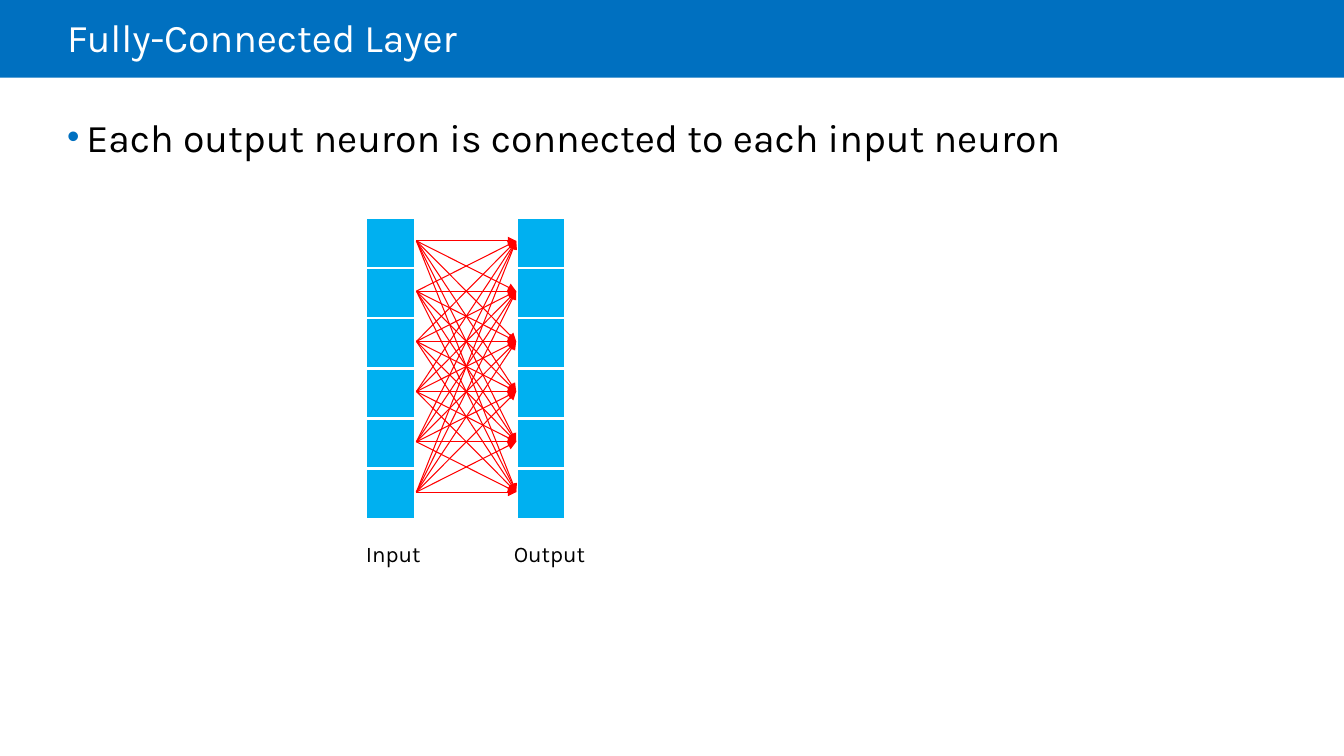
import pptx
import pptx.util
import pptx.dml.color
import pptx.enum.shapes
import pptx.enum.text
import pptx.oxml
import pptx.oxml.ns

Inches = pptx.util.Inches
Pt = pptx.util.Pt
Anchor = pptx.enum.text.MSO_ANCHOR
Align = pptx.enum.text.PP_ALIGN
qn = pptx.oxml.ns.qn

HUES = {"bar": "0070C0", "cell": "00B0F0", "edge": "FF0000",
        "white": "FFFFFF", "text": "000000"}
FONT = "Karla"
WIDE, HIGH = 13.33, 7.5
LEFT = 0.05 * WIDE
COUNT = 6
SIDE = 0.49
TOP = 2.16
STEP = 2.99 / COUNT
GAP = 1.0
INPUT = 3.63
OUTPUT = INPUT + SIDE + GAP


def color(name):
    return pptx.dml.color.RGBColor.from_string(HUES[name])


def node(tag, inner="", **attrs):
    pairs = "".join(f' {key}="{value}"' for key, value in attrs.items())
    space = pptx.oxml.ns.nsdecls("a")
    return pptx.oxml.parse_xml(f"<a:{tag} {space}{pairs}>{inner}</a:{tag}>")


def paint(name):
    return f'<a:solidFill><a:srgbClr val="{HUES[name]}"/></a:solidFill>'


def style(para, size, name):
    para.font.size = Pt(size)
    para.font.name = FONT
    para.font.color.rgb = color(name)


def place(shape, left, top, width, height):
    shape.left, shape.top = Inches(left), Inches(top)
    shape.width, shape.height = Inches(width), Inches(height)


def inset(frame, left, top, right, bottom):
    frame.margin_left, frame.margin_top = Inches(left), Inches(top)
    frame.margin_right, frame.margin_bottom = Inches(right), Inches(bottom)
    frame.auto_size = pptx.enum.text.MSO_AUTO_SIZE.NONE


def banner(slide):
    kind = pptx.enum.shapes.MSO_SHAPE.RECTANGLE
    bar = slide.shapes.add_shape(kind, 0, 0, Inches(WIDE), Inches(0.77))
    bar.shadow.inherit = False
    bar.fill.solid()
    bar.fill.fore_color.rgb = color("bar")
    bar.line.fill.background()
    slide.shapes.title.element.addprevious(bar.element)


def heading(slide, text):
    title = slide.shapes.title
    place(title, LEFT, 0, 0.85 * WIDE, 0.81)
    frame = title.text_frame
    inset(frame, 0, 0.05, 0.1, 0.05)
    frame.vertical_anchor = Anchor.MIDDLE
    frame.text = text
    para = frame.paragraphs[0]
    para.alignment = Align.LEFT
    para.line_spacing = 0.85
    style(para, 28, "white")


def points(slide, text):
    body = slide.placeholders[1]
    place(body, LEFT, 1.12, 11.84, 0.75 * HIGH)
    frame = body.text_frame
    inset(frame, 0, 0, 0, 0)
    frame.vertical_anchor = Anchor.TOP
    frame.text = text
    para = frame.paragraphs[0]
    para.space_before = Pt(6)
    props = para._p.get_or_add_pPr()
    indent = Inches(0.19)
    props.set("marL", str(indent))
    props.set("indent", str(-indent))
    props.append(node("buClr", f'<a:srgbClr val="{HUES["bar"]}"/>'))
    props.append(node("buSzPct", val=90000))
    props.append(node("buFont", typeface="Arial"))
    props.append(node("buChar", char="•"))
    style(para, 28, "text")


def layer(slide, left):
    frame = slide.shapes.add_table(COUNT, 1, Inches(left), Inches(TOP),
                                   Inches(SIDE), Inches(COUNT * STEP))
    table = frame.table
    table.first_row = table.horz_banding = False
    for cell in table.iter_cells():
        props = cell._tc.get_or_add_tcPr()
        for tag in ("lnL", "lnR", "lnT", "lnB"):
            props.append(node(tag, paint("white"), w=Pt(2.25)))
        cell.fill.solid()
        cell.fill.fore_color.rgb = color("cell")


def middle(row):
    return Inches(TOP + 0.23 + row * STEP)


def arrow(group, start, end):
    kind = pptx.enum.shapes.MSO_CONNECTOR.STRAIGHT
    line = group.shapes.add_connector(kind, Inches(INPUT + SIDE + 0.01),
                                      middle(start), Inches(OUTPUT),
                                      middle(end))
    line.line.color.rgb = color("edge")
    line.line.width = Pt(0.75)
    props = line.element.spPr
    props.find(qn("a:ln")).append(node("tailEnd", type="triangle"))
    props.append(node("effectLst"))


def label(slide, text, left):
    box = slide.shapes.add_textbox(Inches(left), Inches(5.31),
                                   Inches(1.04), Inches(0.37))
    frame = box.text_frame
    frame.word_wrap = True
    frame.auto_size = pptx.enum.text.MSO_AUTO_SIZE.SHAPE_TO_FIT_TEXT
    frame.text = text
    para = frame.paragraphs[0]
    para.alignment = Align.CENTER
    style(para, 16, "text")


def main():
    deck = pptx.Presentation()
    deck.slide_width, deck.slide_height = Inches(WIDE), Inches(HIGH)
    slide = deck.slides.add_slide(deck.slide_layouts[1])
    banner(slide)
    heading(slide, "Fully-Connected Layer")
    points(slide, "Each output neuron is connected to each input neuron")
    for left in (INPUT, OUTPUT):
        layer(slide, left)
    for end in range(COUNT):
        group = slide.shapes.add_group_shape()
        for start in range(COUNT):
            arrow(group, start, end)
    label(slide, "Input", 3.38)
    label(slide, "Output", 4.93)
    deck.save("out.pptx")


if __name__ == "__main__":
    main()
